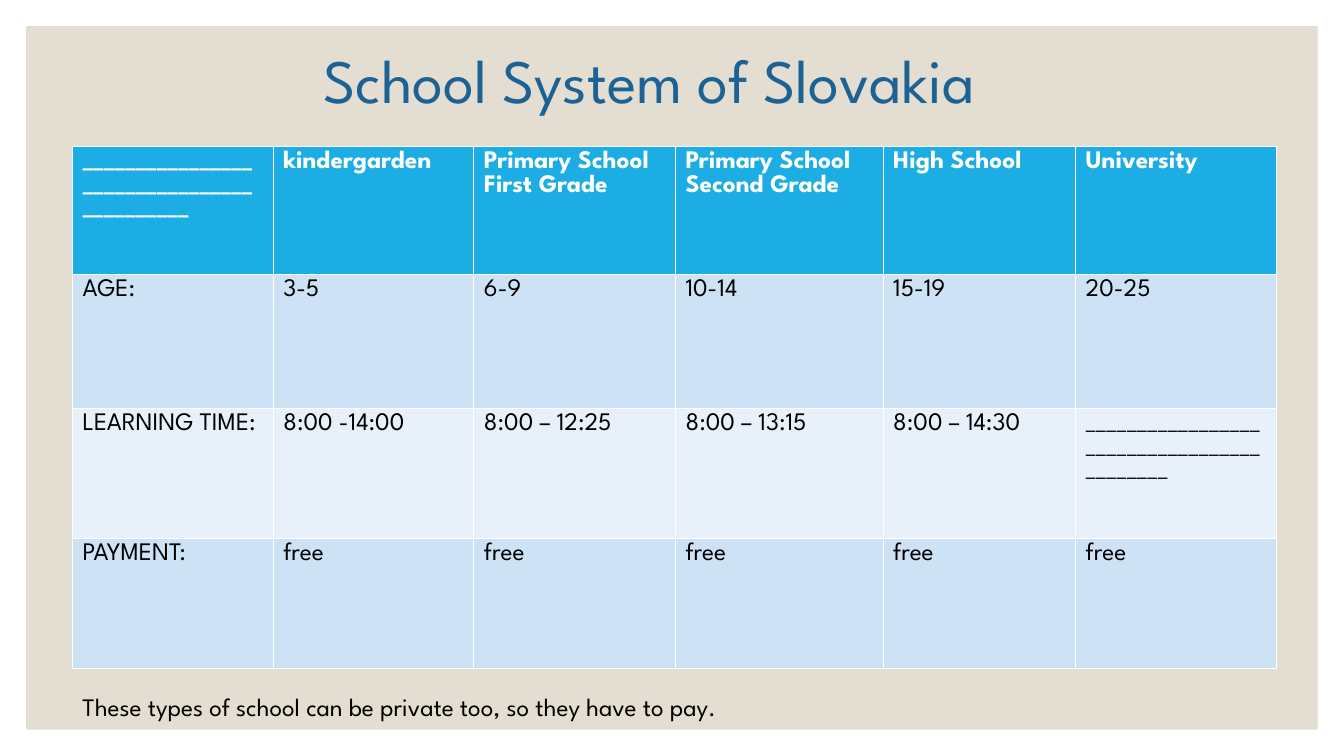
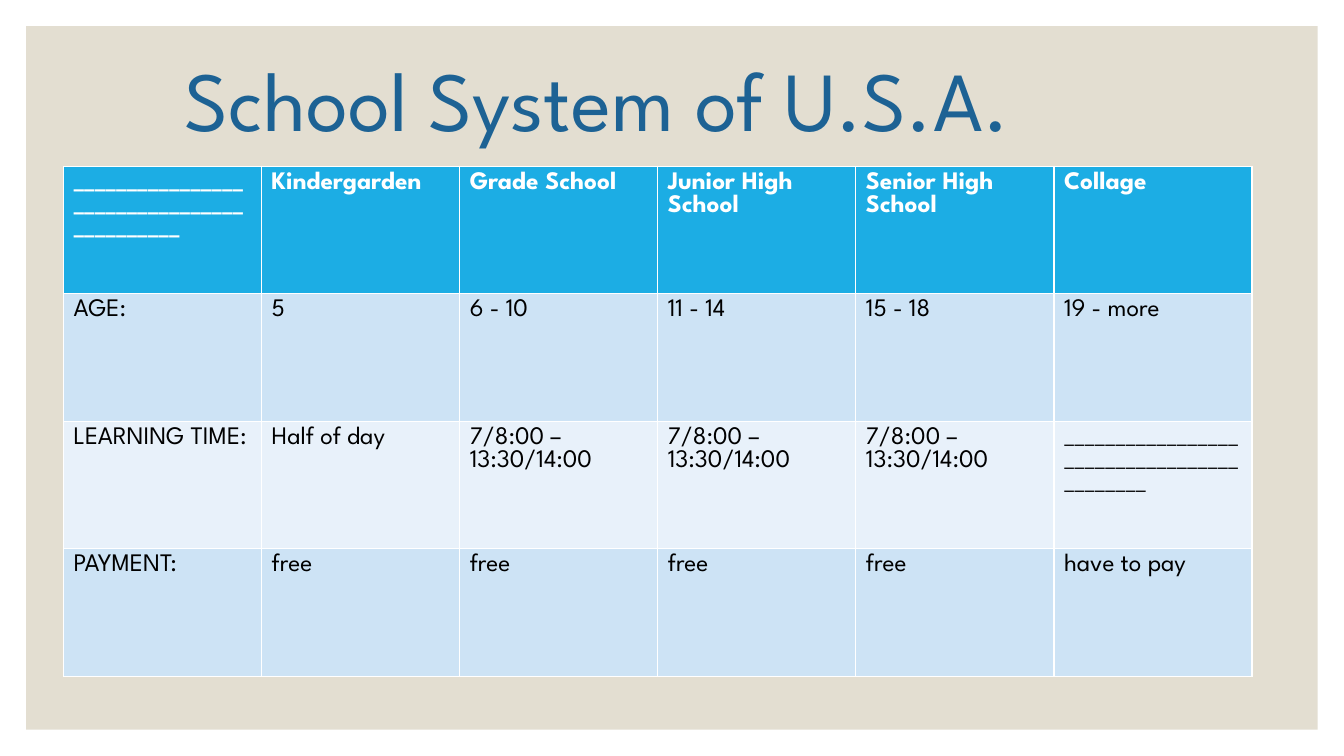
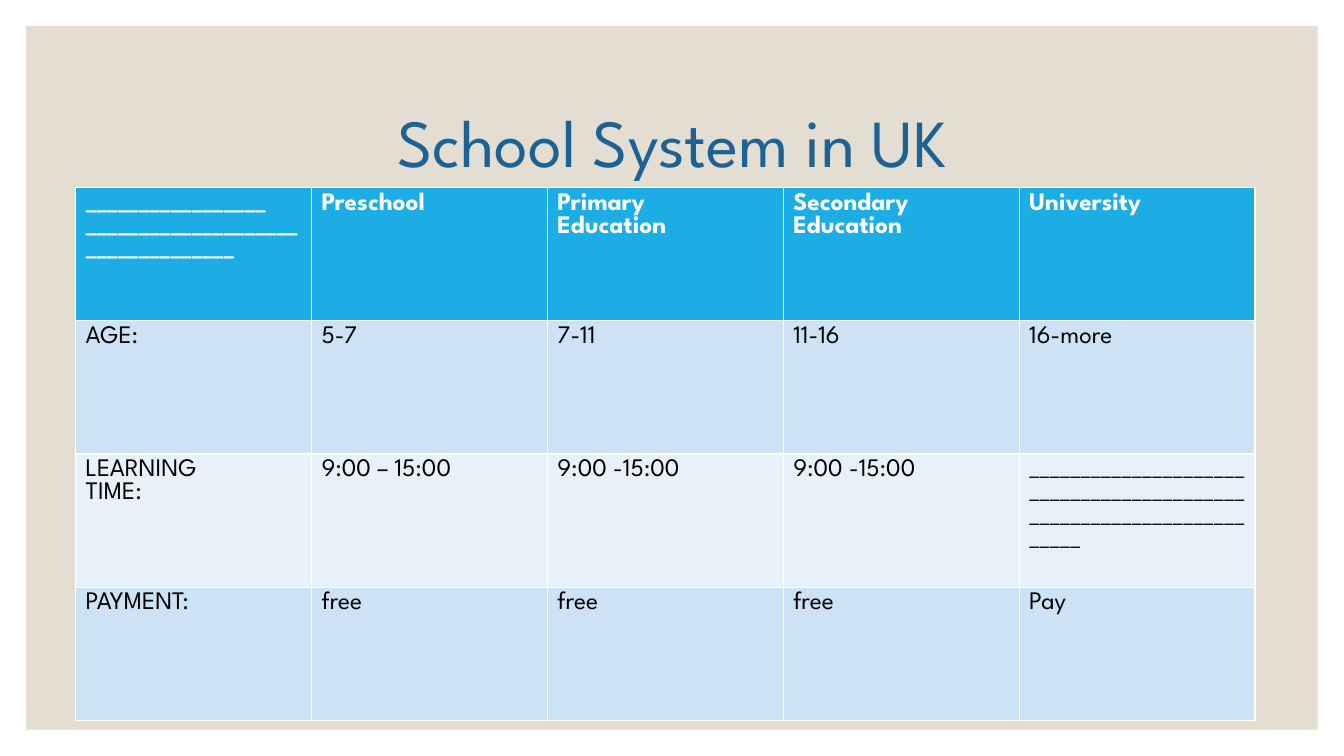
from pptx import Presentation
from pptx.dml.color import RGBColor
from pptx.enum.shapes import MSO_SHAPE
from pptx.enum.text import MSO_ANCHOR, MSO_AUTO_SIZE, PP_ALIGN
from pptx.util import Inches, Pt

LEFT, CENTER = PP_ALIGN.LEFT, PP_ALIGN.CENTER
TOP, MIDDLE = MSO_ANCHOR.TOP, MSO_ANCHOR.MIDDLE
RECTANGLE = MSO_SHAPE.RECTANGLE
NO_AUTOFIT = MSO_AUTO_SIZE.NONE

SAND = RGBColor(0xE3, 0xDE, 0xD1)
NAVY = RGBColor(0x1D, 0x62, 0x94)
SKY = RGBColor(0x1C, 0xAD, 0xE4)
PALE = RGBColor(0xCD, 0xE3, 0xF5)
PALER = RGBColor(0xE8, 0xF1, 0xFA)
WHITE = RGBColor(0xFF, 0xFF, 0xFF)
BLACK = RGBColor(0, 0, 0)

FONT = "League Spartan"
BODY_SIZE = 18
BLANK = "_" * 42
TITLE_ONLY = 5


class Deck:
    """Presentation on a grid of 100 columns by 100 rows."""

    def __init__(self):
        self.prs = Presentation()
        self.prs.slide_width = Inches(13.33)
        self.prs.slide_height = Inches(7.5)
        self.layout = self.prs.slide_layouts[TITLE_ONLY]
        self.s = None

    def x(self, columns):
        return round(self.prs.slide_width * columns / 100)

    def y(self, rows):
        return round(self.prs.slide_height * rows / 100)

    def box(self, left, top, width, height):
        return self.x(left), self.y(top), self.x(width), self.y(height)

    def slide(self):
        first = self.s is None
        self.s = self.prs.slides.add_slide(self.layout)
        if first:
            self.panel(1.95, 3.47)

    def panel(self, dx, dy):
        """Put the sand background on the layout that all slides share."""
        sp = self.s.shapes.add_shape(
            RECTANGLE, *self.box(dx, dy, 100 - 2 * dx, 100 - 2 * dy))
        sp.shadow.inherit = False
        sp.fill.solid()
        sp.fill.fore_color.rgb = SAND
        sp.line.fill.background()
        self.layout.shapes.element.insert(2, sp.element)

    def add_text(self, tf, text, size=BODY_SIZE, color=BLACK, bold=False,
                 align=LEFT, spacing=1.0):
        """Add each line of the text as a paragraph."""
        for i, line in enumerate(text.split("\n")):
            p = tf.add_paragraph() if i else tf.paragraphs[0]
            p.alignment = align
            p.line_spacing = spacing
            r = p.add_run()
            r.text = line
            r.font.name = FONT
            r.font.size = Pt(size)
            r.font.bold = bold
            r.font.color.rgb = color

    def title(self, text, box, size, align=LEFT, anchor=MIDDLE, spacing=0.9):
        sp = self.s.shapes.title
        sp.left, sp.top, sp.width, sp.height = self.box(*box)
        tf = sp.text_frame
        tf.auto_size = NO_AUTOFIT
        tf.word_wrap = True
        tf.vertical_anchor = anchor
        self.add_text(tf, text, size, NAVY, align=align, spacing=spacing)

    def note(self, text, box):
        tf = self.s.shapes.add_textbox(*self.box(*box)).text_frame
        tf.word_wrap = True
        self.add_text(tf, text)

    def table(self, left, top, widths, heights, cells):
        box = self.box(left, top, sum(widths), sum(heights))
        tbl = self.s.shapes.add_table(len(heights), len(widths), *box).table
        for column, width in zip(tbl.columns, widths):
            column.width = self.x(width)
        for i, (height, texts) in enumerate(zip(heights, cells)):
            tbl.rows[i].height = self.y(height)
            header = i == 0
            fill = SKY if header else PALE if i % 2 else PALER
            for j, text in enumerate(texts):
                cell = tbl.cell(i, j)
                cell.fill.solid()
                cell.fill.fore_color.rgb = fill
                self.add_text(cell.text_frame, text, bold=header,
                              color=WHITE if header else BLACK)


def slovakia(deck):
    deck.slide()
    deck.title("School System of Slovakia", (23.33, 4.93, 58.8, 11.2), 44,
               anchor=TOP, spacing=1.0)
    deck.table(5.4, 19.33, [14.93, 14.93, 15, 15.45, 14.33, 14.93],
               [16.93, 17.73, 17.2, 17.2], [
        [BLANK, "kindergarden", "Primary School\nFirst Grade",
         "Primary School\nSecond Grade", "High School", "University"],
        ["AGE:", "3-5", "6-9", "10-14", "15-19", "20-25"],
        ["LEARNING TIME:", "8:00 -14:00", "8:00 – 12:25", "8:00 – 13:15",
         "8:00 – 14:30", BLANK],
        ["PAYMENT:"] + ["free"] * 5,
    ])
    deck.note("These types of school can be private too, so they have to pay.",
              (5.4, 90.8, 60.53, 5.33))


def usa(deck):
    deck.slide()
    deck.title("School System of U.S.A.", (12.98, 3.73, 71.93, 20), 60)
    deck.table(4.73, 22, [14.74] * 6, [16.87] * 4, [
        [BLANK, "Kindergarden", "Grade School", "Junior High School",
         "Senior High School", "Collage"],
        ["AGE:", "5", "6 - 10", "11 - 14", "15 - 18", "19 - more"],
        ["LEARNING TIME:", "Half of day"] + ["7/8:00 – 13:30/14:00"] * 3
        + [BLANK],
        ["PAYMENT:"] + ["free"] * 4 + ["have to pay"],
    ])


def uk(deck):
    deck.slide()
    deck.title("School System in UK", (8.78, 9.33, 82.5, 20), 48, CENTER)
    deck.table(5.63, 24.8, [17.55] * 5, [17.63] * 4, [
        ["_" * 17 + "\n" + "_" * 34, "Preschool", "Primary\nEducation",
         "Secondary\nEducation", "University"],
        ["AGE:", "5-7", "7-11", "11-16", "16-more"],
        ["LEARNING\nTIME:", "9:00 – 15:00", "9:00 -15:00", "9:00 -15:00",
         "_" * 68],
        ["PAYMENT:"] + ["free"] * 3 + ["Pay"],
    ])


def main():
    deck = Deck()
    for build in (slovakia, usa, uk):
        build(deck)
    deck.prs.save("out.pptx")


if __name__ == "__main__":
    main()
